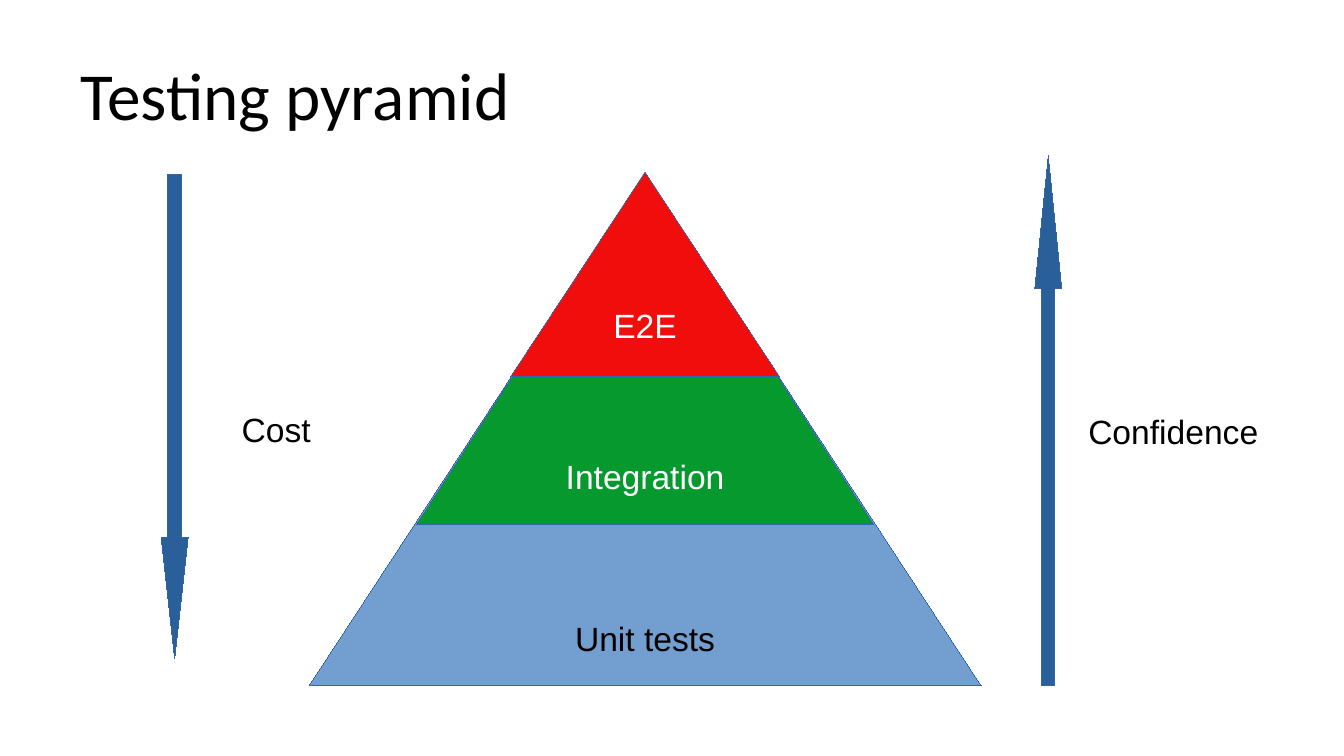
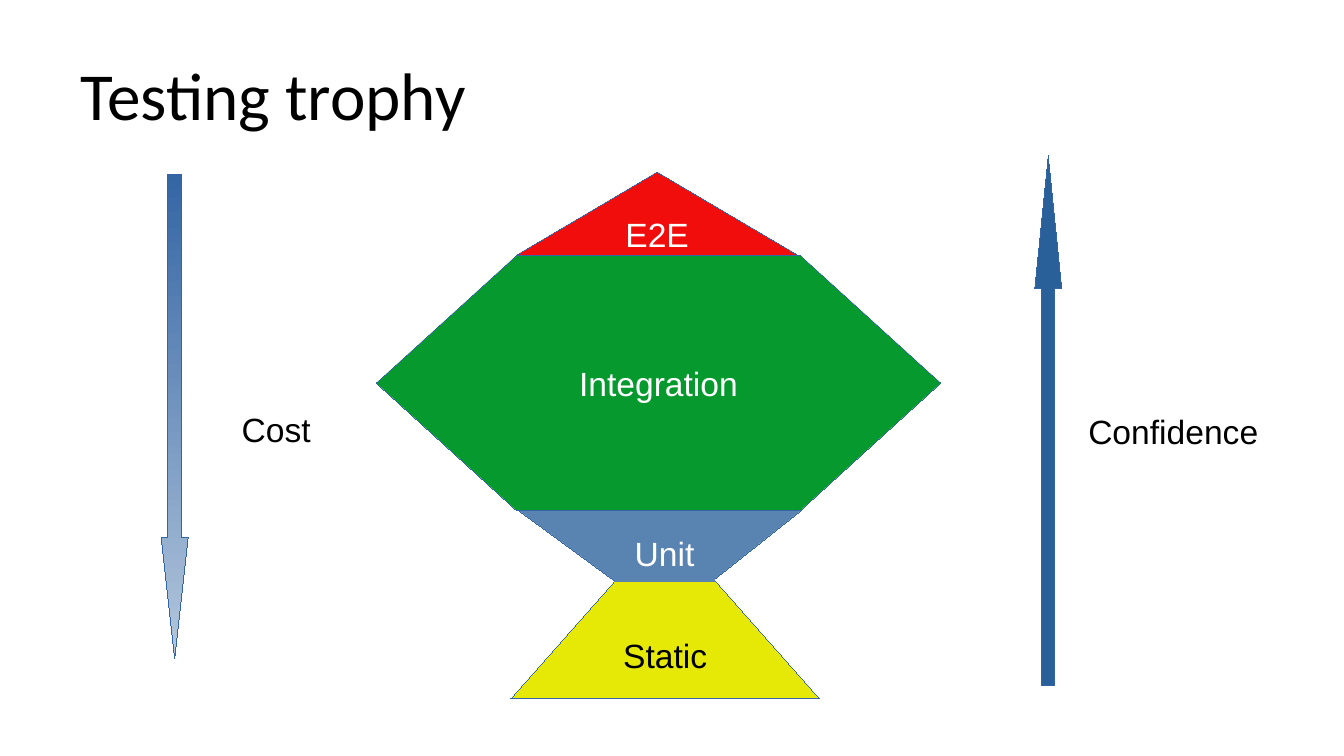
from pptx import Presentation
from pptx.dml.color import RGBColor
from pptx.enum.shapes import MSO_SHAPE
from pptx.enum.text import MSO_ANCHOR, MSO_AUTO_SIZE, PP_ALIGN
from pptx.oxml.ns import qn

PX = 4572
BLACK, WHITE = "000000", "FFFFFF"
RED, GREEN, YELLOW = "F10D0C", "069A2E", "E6E905"
SKY, STEEL, NAVY, OUTLINE, MIST = "729FCF", "5983B0", "2A6099", "3465A4", "B4C7DC"


def write(holder, text, color, size=18, font="Arial", align=PP_ALIGN.CENTER, side=20, lowered=0):
    frame = holder.text_frame
    frame.word_wrap = False
    frame.vertical_anchor = MSO_ANCHOR.MIDDLE
    frame.margin_left = frame.margin_right = side * PX
    frame.margin_top = (10 + 2 * lowered) * PX
    frame.margin_bottom = 10 * PX
    paragraph = frame.paragraphs[0]
    paragraph.alignment = align
    run = paragraph.add_run()
    run.text = text
    run.font.size = size * 12700
    run.font.name = font
    run.font.color.rgb = RGBColor.from_string(color)


def draw(slide, preset, box, fill, outline=OUTLINE, adjustments=()):
    shape = slide.shapes.add_shape(preset, *[length * PX for length in box])
    shape.shadow.inherit = False
    for index, value in enumerate(adjustments):
        shape.adjustments[index] = value
    shape.fill.solid()
    shape.fill.fore_color.rgb = RGBColor.from_string(fill)
    if outline:
        shape.line.color.rgb = RGBColor.from_string(outline)
        shape.element.spPr.find(qn("a:ln")).set("w", "0")
    else:
        shape.line.fill.background()
    return shape


deck = Presentation()
deck.slide_width, deck.slide_height = 2000 * PX, 1125 * PX

slides, cost_arrows = [], []
for heading in ("Testing pyramid", "Testing trophy"):
    slide = deck.slides.add_slide(deck.slide_layouts[6])
    title = slide.shapes.add_textbox(100 * PX, 46 * PX, 1800 * PX, 188 * PX)
    write(title, heading, BLACK, size=36, font="Calibri", align=PP_ALIGN.LEFT)
    title.text_frame.word_wrap = True

    for text, box in (("Cost", (340, 600, 142, 76)), ("Confidence", (1600, 604, 292, 76))):
        label = slide.shapes.add_textbox(*[length * PX for length in box])
        write(label, text, BLACK, side=10)
        label.text_frame.auto_size = MSO_AUTO_SIZE.SHAPE_TO_FIT_TEXT

    draw(slide, MSO_SHAPE.UP_ARROW, (1540, 232, 40, 788), NAVY, adjustments=(0.5, 4.92))
    cost_arrows.append(
        draw(slide, MSO_SHAPE.DOWN_ARROW, (240, 260, 40, 720), NAVY, adjustments=(0.5, 4.5)))
    slides.append(slide)

pyramid, trophy = slides

for text, left, width, height, fill, color, lowered in (
    ("Unit tests", 460, 1000, 764, SKY, BLACK, 120),
    ("Integration", 620, 680, 524, GREEN, WHITE, 60),
    ("E2E", 760, 400, 304, RED, WHITE, 0),
):
    level = draw(pyramid, MSO_SHAPE.ISOSCELES_TRIANGLE, (left, 256, width, height), fill)
    write(level, text, color, lowered=lowered)

cost_fill = cost_arrows[1].fill
cost_fill.gradient()
cost_fill.gradient_angle = 270
for stop, color, position in zip(cost_fill.gradient_stops, (OUTLINE, MIST), (0, 1)):
    stop.color.rgb = RGBColor.from_string(color)
    stop.position = position

e2e = draw(trophy, MSO_SHAPE.ISOSCELES_TRIANGLE, (768, 256, 420, 124), RED)
write(e2e, "E2E", WHITE)
integration = draw(trophy, MSO_SHAPE.HEXAGON, (560, 380, 840, 380), GREEN, adjustments=(0.55,))
write(integration, "Integration", WHITE)
unit_funnel = draw(trophy, MSO_SHAPE.ISOSCELES_TRIANGLE, (772, 760, 420, 160), STEEL,
                   adjustments=(0.48,))
unit_funnel.rotation = 180
static = draw(trophy, MSO_SHAPE.ISOSCELES_TRIANGLE, (760, 780, 460, 260), YELLOW)
write(static, "Static", BLACK)
unit = draw(trophy, MSO_SHAPE.RECTANGLE, (914, 780, 150, 86), STEEL, outline=None)
write(unit, "Unit", WHITE)

deck.save("out.pptx")
